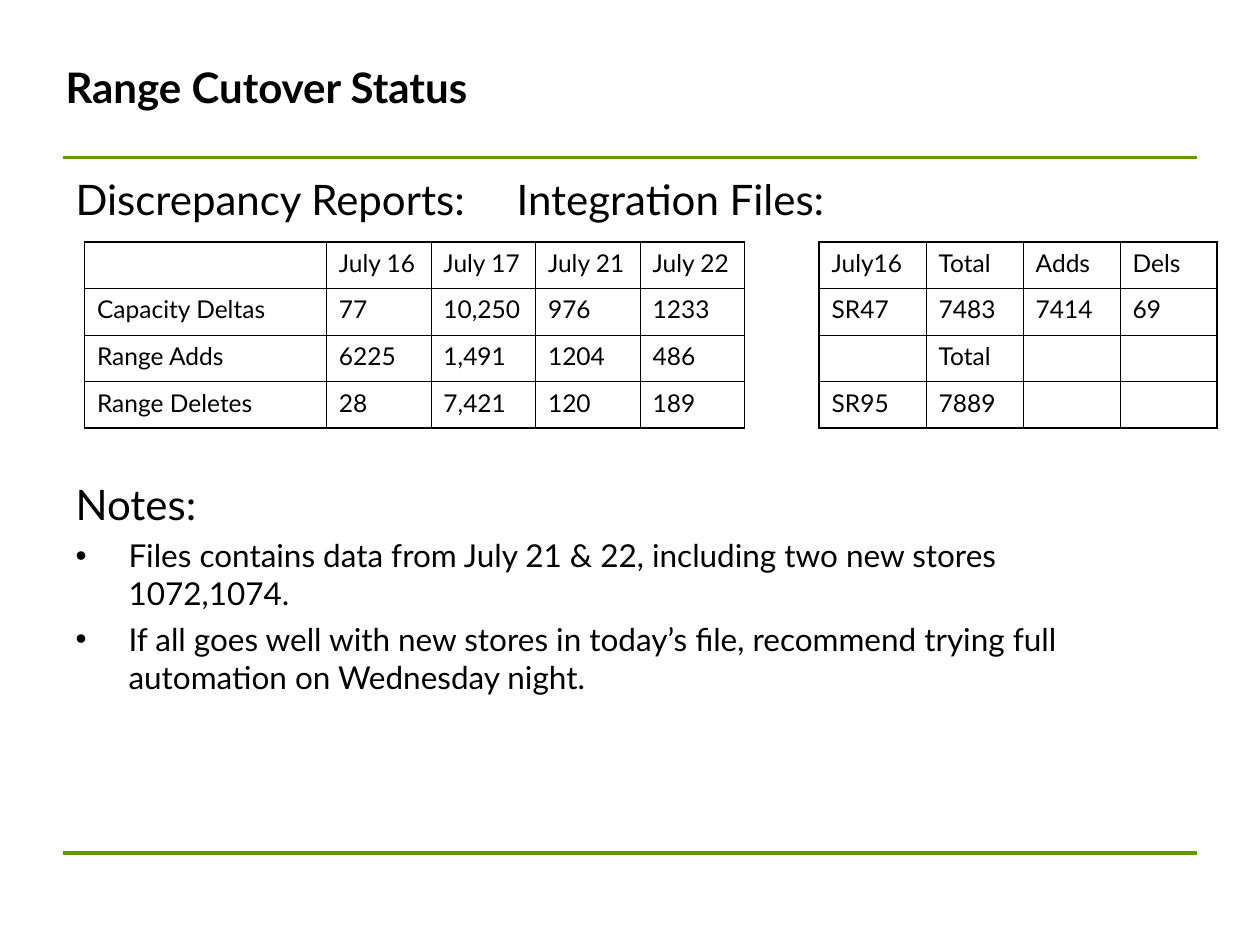
from dataclasses import dataclass

from lxml.etree import SubElement
from pptx import Presentation
from pptx.dml.color import RGBColor
from pptx.enum.shapes import MSO_CONNECTOR
from pptx.enum.text import MSO_ANCHOR, MSO_AUTO_SIZE, PP_ALIGN
from pptx.oxml.ns import qn
from pptx.util import Inches, Pt


@dataclass(frozen=True)
class Theme:
    font: str = "Lato"
    ink: str = "000000"
    green: str = "669900"
    heading_size: float = 24
    note_size: float = 18
    cell_size: float = 14
    rule_width: float = 2.25
    outer_border: float = 1.08
    inner_border: float = 0.45


THEME = Theme()

TITLE = "Range Cutover Status"
TABLE_HEADINGS = "Discrepancy Reports:\tIntegration Files:"
NOTES_HEADING = "Notes:"
NOTES = [
    "Files contains data from July 21 & 22, including two new stores 1072,1074.",
    "If all goes well with new stores in today’s file, recommend trying full "
    "automation on Wednesday night.",
]
DISCREPANCIES = [
    ["", "July 16", "July 17", "July 21", "July 22"],
    ["Capacity Deltas", "77", "10,250", "976", "1233"],
    ["Range Adds", "6225", "1,491", "1204", "486"],
    ["Range Deletes", "28", "7,421", "120", "189"],
]
INTEGRATION_FILES = [
    ["July16", "Total", "Adds", "Dels"],
    ["SR47", "7483", "7414", "69"],
    ["", "Total", "", ""],
    ["SR95", "7889", "", ""],
]

# (rows, left, first column width, width of each other column)
TABLES = [
    (DISCREPANCIES, 0.67, 1.92, 0.83),
    (INTEGRATION_FILES, 6.5, 0.85, 0.77),
]
TABLE_TOP, ROW_HEIGHT = 1.92, 0.37
RULE_LEFT, RULE_RIGHT, RULE_TOPS = 0.5, 9.5, (1.25, 6.77)
SECOND_HEADING_TAB = 4.92
NOTE_INDENT = 0.42
SPACE_FOR_TABLES = 145


def place(shape, left, top, width, height):
    shape.left, shape.top = Inches(left), Inches(top)
    shape.width, shape.height = Inches(width), Inches(height)


def style_runs(paragraph, size, bold=False):
    for run in paragraph.runs:
        run.font.name = THEME.font
        run.font.size = Pt(size)
        run.font.bold = bold
        run.font.color.rgb = RGBColor.from_string(THEME.ink)


def set_bullet(paragraph, char=None, indent=0.0):
    """Hang the paragraph on a bullet, or clear the inherited one."""
    properties = paragraph._p.get_or_add_pPr()
    properties.set("marL", str(Inches(indent)))
    properties.set("indent", str(-Inches(indent)))
    if char:
        SubElement(properties, qn("a:buFont"), typeface="Arial")
        SubElement(properties, qn("a:buChar"), char=char)
    else:
        SubElement(properties, qn("a:buNone"))


def add_tab_stop(paragraph, position):
    stops = SubElement(paragraph._p.get_or_add_pPr(), qn("a:tabLst"))
    SubElement(stops, qn("a:tab"), pos=str(Inches(position)), algn="l")


def add_rule(slide, top):
    rule = slide.shapes.add_connector(
        MSO_CONNECTOR.STRAIGHT,
        Inches(RULE_LEFT), Inches(top), Inches(RULE_RIGHT), Inches(top))
    rule.line.color.rgb = RGBColor.from_string(THEME.green)
    rule.line.width = Pt(THEME.rule_width)
    SubElement(rule._element.spPr, qn("a:effectLst"))


def fill_title(title):
    place(title, 0.42, 0.3, 7.67, 0.78)
    frame = title.text_frame
    frame.text = TITLE
    frame.auto_size = MSO_AUTO_SIZE.NONE
    frame.vertical_anchor = MSO_ANCHOR.MIDDLE
    frame.paragraphs[0].alignment = PP_ALIGN.LEFT
    style_runs(frame.paragraphs[0], THEME.heading_size, bold=True)


def fill_body(body):
    place(body, 0.5, 1.33, 8.67, 5.28)
    frame = body.text_frame
    frame.text = "\n".join([TABLE_HEADINGS, NOTES_HEADING, *NOTES])
    frame.auto_size = MSO_AUTO_SIZE.NONE
    table_headings, notes_heading, *notes = frame.paragraphs
    for heading, space in ((table_headings, 0), (notes_heading, SPACE_FOR_TABLES)):
        set_bullet(heading)
        heading.space_before = Pt(space)
        style_runs(heading, THEME.heading_size)
    add_tab_stop(table_headings, SECOND_HEADING_TAB)
    for note in notes:
        set_bullet(note, "•", NOTE_INDENT)
        note.space_before = Pt(4.5)
        style_runs(note, THEME.note_size)


def set_borders(cell, outer_sides):
    """Draw all four sides; outer_sides maps a side to whether it is on the edge."""
    properties = cell._tc.get_or_add_tcPr()
    for position, (side, is_outer) in enumerate(outer_sides.items()):
        width = THEME.outer_border if is_outer else THEME.inner_border
        border = properties.makeelement(qn(f"a:ln{side}"), {"w": str(Pt(width))})
        fill = SubElement(border, qn("a:solidFill"))
        SubElement(fill, qn("a:srgbClr"), val=THEME.ink)
        properties.insert(position, border)


def add_grid(slide, rows, left, first_width, other_width):
    widths = [first_width] + [other_width] * (len(rows[0]) - 1)
    table = slide.shapes.add_table(
        len(rows), len(widths), Inches(left), Inches(TABLE_TOP),
        Inches(sum(widths)), Inches(ROW_HEIGHT * len(rows))).table
    table.first_row = table.horz_banding = False
    for column, width in zip(table.columns, widths):
        column.width = Inches(width)
    for r, row in enumerate(rows):
        table.rows[r].height = Inches(ROW_HEIGHT)
        for c, value in enumerate(row):
            cell = table.cell(r, c)
            cell.text_frame.text = value
            cell.fill.background()
            paragraph = cell.text_frame.paragraphs[0]
            style_runs(paragraph, THEME.cell_size)
            if not value:  # keeps an empty cell from stretching its row
                SubElement(paragraph._p, qn("a:endParaRPr"),
                           sz=str(THEME.cell_size * 100))
            set_borders(cell, {"L": c == 0, "R": c == len(row) - 1,
                               "T": r == 0, "B": r == len(rows) - 1})


def main():
    presentation = Presentation()
    presentation.slide_width, presentation.slide_height = Inches(10), Inches(7.5)
    slide = presentation.slides.add_slide(presentation.slide_layouts[1])
    for top in RULE_TOPS:
        add_rule(slide, top)
    fill_title(slide.shapes.title)
    fill_body(slide.placeholders[1])
    for table in TABLES:
        add_grid(slide, *table)
    presentation.save("out.pptx")


if __name__ == "__main__":
    main()
